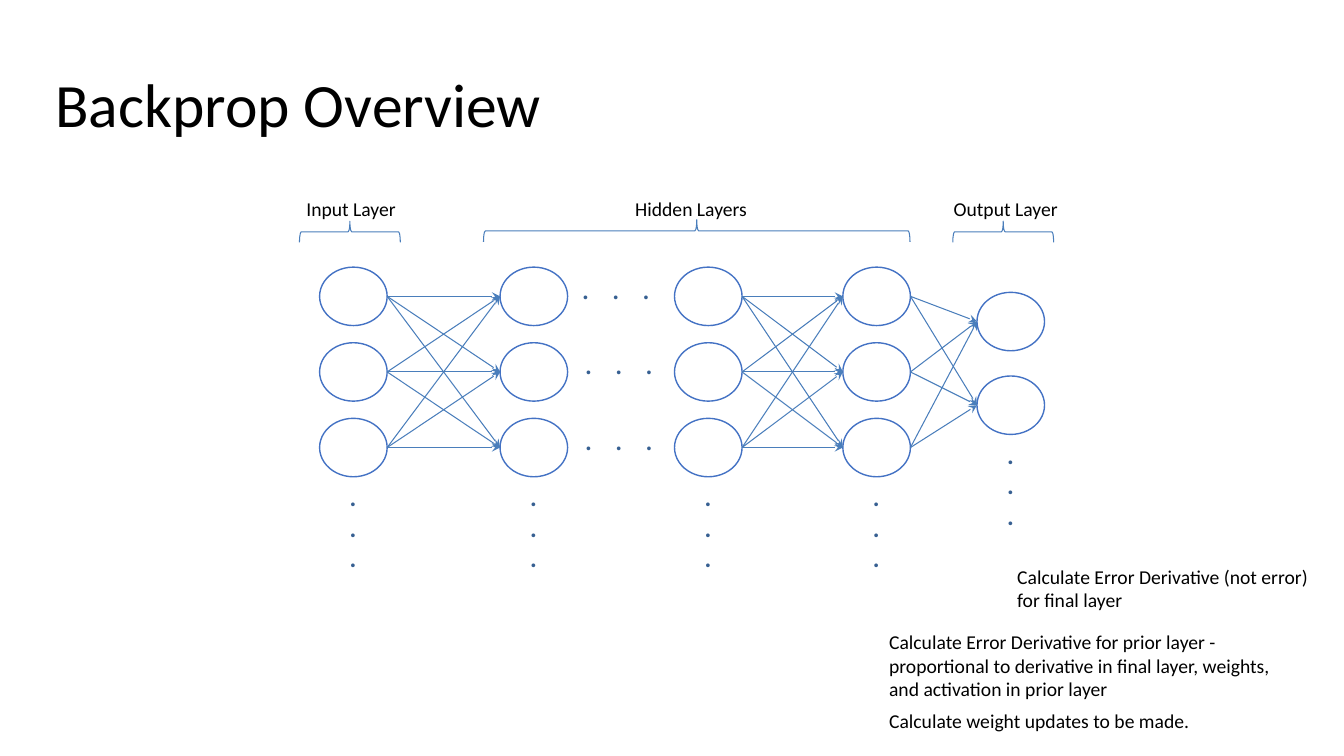
from dataclasses import dataclass
from itertools import pairwise, product

from lxml.etree import SubElement
from pptx import Presentation
from pptx.dml.color import RGBColor
from pptx.enum.shapes import MSO_CONNECTOR, MSO_SHAPE
from pptx.enum.text import MSO_ANCHOR, MSO_AUTO_SIZE, PP_ALIGN
from pptx.oxml.ns import qn
from pptx.util import Inches, Pt

FONT = "Calibri"
BLACK = "000000"
NEURON_LINE = "4472C4"
LINK = "4A7EBB"
DOT = "376092"
NEURON_WIDTH, NEURON_HEIGHT = 0.67, 0.58


@dataclass(frozen=True)
class Layer:
    left: float
    tops: tuple[float, ...]


@dataclass(frozen=True)
class Brace:
    center: float
    middle: float
    span: float
    depth: float


@dataclass(frozen=True)
class Note:
    left: float
    top: float
    width: float
    height: float
    lines: tuple[str, ...]
    align: PP_ALIGN = PP_ALIGN.LEFT
    inset: float = 0.05
    grows: bool = False


ROWS = tuple(2.65 + 0.75 * row for row in range(3))
INPUT = Layer(3.17, ROWS)
FIRST_HIDDEN = Layer(4.96, ROWS)
LATER_HIDDEN = Layer(6.69, ROWS)
LAST_HIDDEN = Layer(8.36, ROWS)
OUTPUT = Layer(9.69, (2.9, 3.73))
LAYER_GROUPS = ((INPUT, FIRST_HIDDEN), (LATER_HIDDEN, LAST_HIDDEN, OUTPUT))

BRACES = (
    Brace(3.47, 2.3, 1, 0.21),
    Brace(6.91, 2.29, 4.23, 0.22),
    Brace(9.95, 2.3, 1, 0.21),
)

NOTES = (
    Note(2.94, 1.9, 1.27, 0.56, ("Input Layer",)),
    Note(4.69, 1.9, 4.33, 0.33, ("Hidden Layers",), PP_ALIGN.CENTER),
    Note(9.36, 1.9, 1.27, 0.56, ("Output Layer",)),
    Note(9.99, 5.5, 3.18, 0.67,
         ("Calculate Error Derivative (not error) for final layer",),
         inset=0.1, grows=True),
    Note(8.72, 6.15, 4.16, 1.23,
         ("Calculate Error Derivative for prior layer - proportional to "
          "derivative in final layer, weights, and activation in prior layer",
          "Calculate weight updates to be made."),
         inset=0.1, grows=True),
)


def color(code: str) -> RGBColor:
    return RGBColor.from_string(code)


def style_font(paragraph, size: float, code: str, bold: bool = False) -> None:
    font = paragraph.font
    font.name, font.size, font.bold = FONT, Pt(size), bold
    font.color.rgb = color(code)


def add_title(slide, wording: str) -> None:
    title = slide.shapes.title
    title.left, title.top = Inches(0.45), Inches(0.65)
    title.width, title.height = Inches(12.42), Inches(0.83)
    title.text_frame.text = wording
    title.text_frame.vertical_anchor = MSO_ANCHOR.MIDDLE
    paragraph = title.text_frame.paragraphs[0]
    paragraph.alignment = PP_ALIGN.LEFT
    paragraph.line_spacing = 0.9
    style_font(paragraph, 44, BLACK)


def add_neuron(slide, left: float, top: float) -> None:
    neuron = slide.shapes.add_shape(
        MSO_SHAPE.OVAL, Inches(left), Inches(top),
        Inches(NEURON_WIDTH), Inches(NEURON_HEIGHT))
    neuron.shadow.inherit = False
    neuron.fill.solid()
    neuron.fill.fore_color.rgb = color("FFFFFF")
    neuron.line.color.rgb = color(NEURON_LINE)
    neuron.line.width = Pt(1)


def add_links(slide, source: Layer, target: Layer) -> None:
    for source_top, target_top in product(source.tops, target.tops):
        link = slide.shapes.add_connector(
            MSO_CONNECTOR.STRAIGHT,
            Inches(source.left + NEURON_WIDTH),
            Inches(source_top + NEURON_HEIGHT / 2),
            Inches(target.left),
            Inches(target_top + NEURON_HEIGHT / 2))
        link.line.color.rgb = color(LINK)
        link.line.width = Pt(0.75)
        SubElement(link.line._get_or_add_ln(), qn("a:tailEnd"), type="stealth")
        SubElement(link._element.spPr, qn("a:effectLst"))


def add_brace(slide, brace: Brace) -> None:
    outline = slide.shapes.add_shape(
        MSO_SHAPE.LEFT_BRACE,
        Inches(brace.center - brace.depth / 2),
        Inches(brace.middle - brace.span / 2),
        Inches(brace.depth), Inches(brace.span))
    outline.rotation = 90
    outline.shadow.inherit = False
    outline.fill.background()
    outline.line.color.rgb = color(LINK)
    outline.line.width = Pt(0.75)


def add_dots(slide, left: float, top: float, width: float,
             rotation: float = 0) -> None:
    dots = slide.shapes.add_textbox(
        Inches(left), Inches(top), Inches(width), Inches(1))
    dots.rotation = rotation
    dots.text_frame.word_wrap = True
    dots.text_frame.text = "\n".join("...")
    for paragraph in dots.text_frame.paragraphs:
        style_font(paragraph, 18, DOT, bold=True)


def add_note(slide, note: Note) -> None:
    frame = slide.shapes.add_textbox(
        Inches(note.left), Inches(note.top),
        Inches(note.width), Inches(note.height)).text_frame
    frame.word_wrap = True
    frame.margin_top = frame.margin_bottom = Inches(note.inset)
    if note.grows:
        frame.auto_size = MSO_AUTO_SIZE.SHAPE_TO_FIT_TEXT
    frame.text = "\n".join(note.lines)
    for index, paragraph in enumerate(frame.paragraphs):
        paragraph.alignment = note.align
        paragraph.space_before = Pt(6 if index else 0)
        style_font(paragraph, 14, BLACK)


def main() -> None:
    deck = Presentation()
    deck.slide_width, deck.slide_height = Inches(13.33), Inches(7.5)
    slide = deck.slides.add_slide(deck.slide_layouts[5])
    add_title(slide, "Backprop Overview")
    for group in LAYER_GROUPS:
        for layer in group:
            for top in layer.tops:
                add_neuron(slide, layer.left, top)
            add_dots(slide, layer.left + 0.2,
                     layer.tops[-1] + NEURON_HEIGHT, 0.29)
        for source, target in pairwise(group):
            add_links(slide, source, target)
    for left, top in zip((6.06, 6.09, 6.09), ROWS):
        add_dots(slide, left, top - 0.2, 0.26, rotation=90)
    for brace in BRACES:
        add_brace(slide, brace)
    for note in NOTES:
        add_note(slide, note)
    deck.save("out.pptx")


if __name__ == "__main__":
    main()
